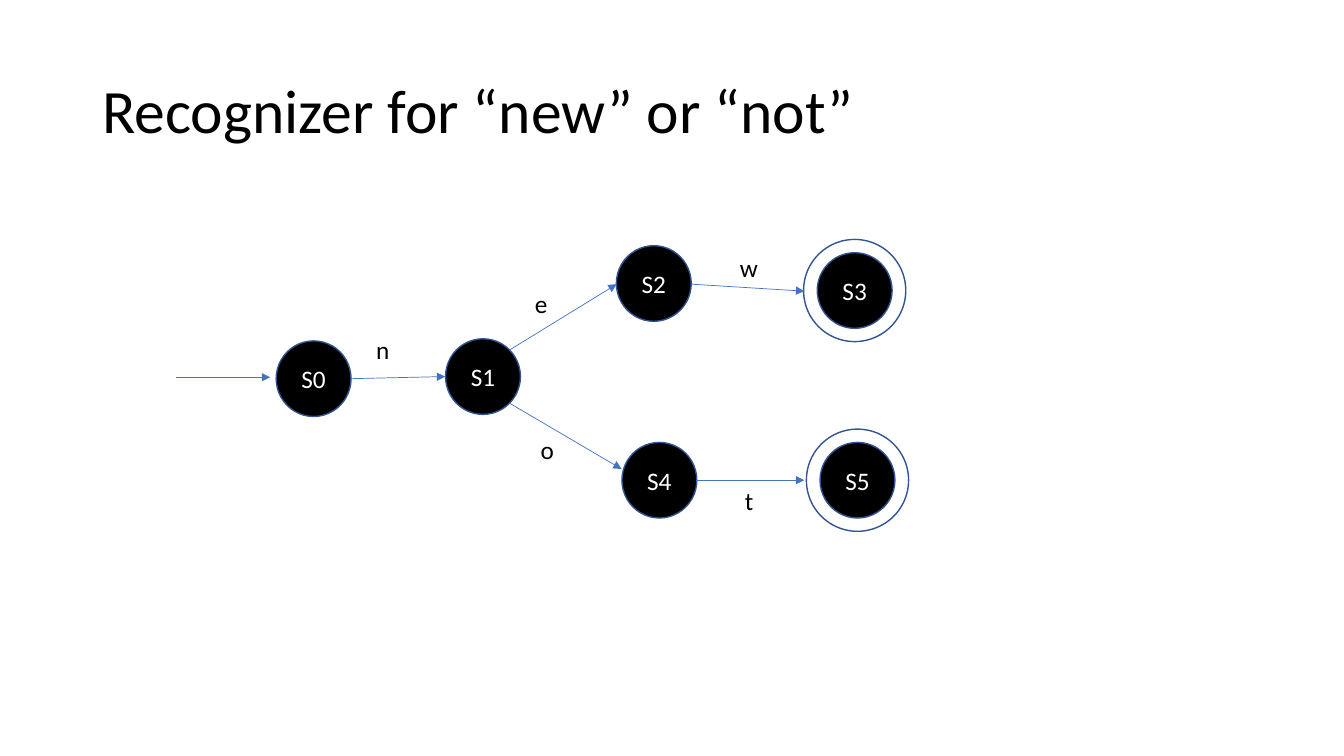
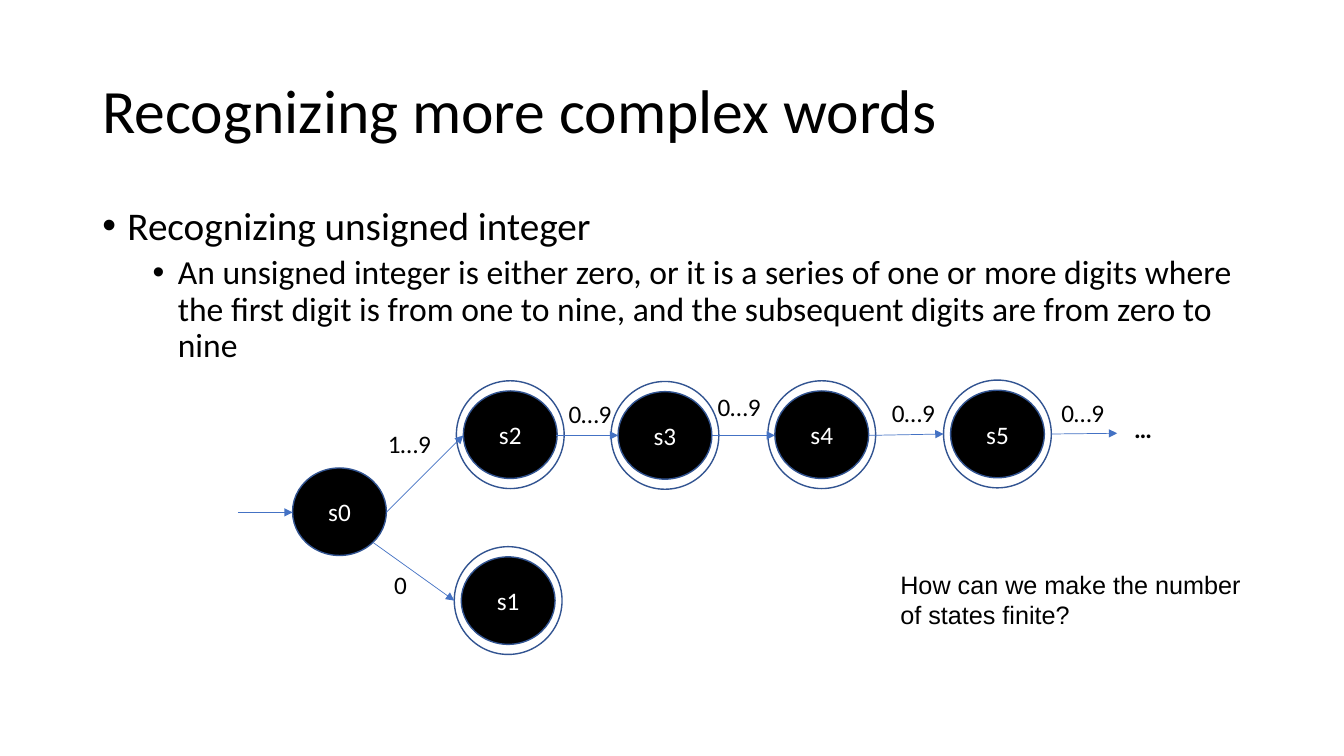
from dataclasses import dataclass

import pptx
import pptx.dml.color
import pptx.enum.shapes
import pptx.enum.text
import pptx.oxml.ns
import pptx.util
from lxml import etree

Pt = pptx.util.Pt
qn = pptx.oxml.ns.qn
anchor = pptx.enum.text.MSO_ANCHOR
align = pptx.enum.text.PP_ALIGN


@dataclass(frozen=True)
class Theme:
    black: str = "000000"
    white: str = "FFFFFF"
    edge: str = "325491"
    arrow: str = "4472C4"
    font: str = "Calibri"
    plain: str = "Arial"
    title: int = 44
    body: int = 28
    sub: int = 24
    label: int = 18


theme = Theme()
color = pptx.dml.color.RGBColor.from_string


def style(para, size, hue=theme.black, face=theme.font, bold=False):
    font = para.font
    font.size, font.name, font.bold = Pt(size), face, bold
    font.color.rgb = color(hue)


def write(slide, box, text, size, face=theme.font, bold=False):
    frame = slide.shapes.add_textbox(*map(Pt, box)).text_frame
    frame.word_wrap = True
    frame.text = text
    style(frame.paragraphs[0], size, face=face, bold=bold)
    return frame


# Each slide: state centres, arrows as (x1, y1, x2, y2, width), labels as (text, x, y)
slides = [
    dict(
        title="Recognizer for “new” or “not”",
        points=[],
        state=(53.5, 54),
        ring=73,
        nodes={
            "S0": (224, 270.5), "S1": (345, 269), "S2": (467, 202.5),
            "S3": (610.5, 207.5), "S4": (471, 343), "S5": (612.5, 343),
        },
        final=["S3", "S5"],
        arrows=[
            (126, 269.5, 193, 269.5, 1), (250.5, 270.5, 318, 269, 0.5),
            (364, 250, 440.5, 203, 0.5), (364, 288, 444, 335, 0.5),
            (494, 203, 574.5, 208, 0.5), (497, 343, 574.5, 343, 0.5),
        ],
        labels=[
            ("n", 261.5, 235), ("e", 375, 202.5), ("w", 521.5, 176.5),
            ("o", 379, 307), ("t", 525, 343),
        ],
        notes=[],
    ),
    dict(
        title="Recognizing more complex words",
        points=[
            ("Recognizing unsigned integer", theme.body, 18, 0),
            ("An unsigned integer is either zero, or it is a series of one or "
             "more digits where the first digit is from one to nine, and the "
             "subsequent digits are from zero to nine", theme.sub, 54, 5),
        ],
        state=(67, 62.5),
        ring=77,
        nodes={
            "s0": (242.5, 365.5), "s1": (363, 429), "s2": (364.5, 310.5),
            "s3": (475, 311), "s4": (587, 310.5), "s5": (712.5, 310),
        },
        final=["s1", "s2", "s3", "s4", "s5"],
        arrows=[
            (170, 366, 209, 366, 0.5), (276, 366, 331, 311, 0.5),
            (397.5, 311, 441.5, 311, 0.5), (508.5, 311, 553.5, 311, 0.5),
            (620.5, 311, 674, 310, 0.5), (751, 310, 798, 309.5, 0.5),
            (266.5, 387.5, 324.5, 429, 0.5),
        ],
        labels=[
            ("0", 274.5, 403), ("1…9", 270, 302.5), ("0…9", 399, 281),
            ("0…9", 505.5, 276), ("0…9", 630, 280), ("0…9", 751, 280),
        ],
        notes=[
            ("…", (803, 291.5, 42, 29), theme.font, True),
            ("How can we make the number of states finite?",
             (636, 403, 262, 51), theme.plain, False),
        ],
    ),
]

deck = pptx.Presentation()
deck.slide_width, deck.slide_height = Pt(960), Pt(540)

for data in slides:
    slide = deck.slides.add_slide(deck.slide_layouts[6])
    shapes = slide.shapes

    # Title
    frame = write(slide, (66, 29, 828, 104), data["title"], theme.title)
    frame.vertical_anchor = anchor.MIDDLE
    frame.paragraphs[0].line_spacing = 0.9

    # Bullets
    if data["points"]:
        frame = shapes.add_textbox(Pt(66), Pt(144), Pt(828), Pt(120)).text_frame
        frame.word_wrap = True
        frame.text = "\n".join(point[0] for point in data["points"])
        for para, (_, size, indent, space) in zip(frame.paragraphs, data["points"]):
            props = para._p.get_or_add_pPr()
            props.set("marL", str(Pt(indent)))
            props.set("indent", str(Pt(-18)))
            para.line_spacing, para.space_before = 0.9, Pt(space)
            etree.SubElement(props, qn("a:buFont"), typeface=theme.plain)
            etree.SubElement(props, qn("a:buChar"), char="•")
            style(para, size)

    # States, with a ring around each final one
    wide, high = data["state"]
    ring = data["ring"]
    ovals = [(name, *spot, wide, high) for name, spot in data["nodes"].items()]
    ovals += [("", *data["nodes"][name], ring, ring) for name in data["final"]]
    for name, x, y, w, h in ovals:
        oval = shapes.add_shape(
            pptx.enum.shapes.MSO_SHAPE.OVAL,
            Pt(x - w / 2), Pt(y - h / 2), Pt(w), Pt(h))
        oval.shadow.inherit = False
        oval.line.color.rgb, oval.line.width = color(theme.edge), Pt(1)
        if not name:
            oval.fill.background()
            continue
        oval.fill.solid()
        oval.fill.fore_color.rgb = color(theme.black)
        oval.text_frame.text = name
        oval.text_frame.vertical_anchor = anchor.MIDDLE
        para = oval.text_frame.paragraphs[0]
        para.alignment = align.CENTER
        style(para, theme.label, theme.white)

    # Arrows
    for *ends, width in data["arrows"]:
        arrow = shapes.add_connector(
            pptx.enum.shapes.MSO_CONNECTOR.STRAIGHT, *map(Pt, ends))
        arrow.line.color.rgb, arrow.line.width = color(theme.arrow), Pt(width)
        etree.SubElement(arrow.line._get_or_add_ln(), qn("a:tailEnd"), type="triangle")
        etree.SubElement(arrow._element.spPr, qn("a:effectLst"))

    # Labels and notes
    for text, x, y in data["labels"]:
        write(slide, (x, y, 65, 29), text, theme.label)
    for text, box, face, bold in data["notes"]:
        write(slide, box, text, theme.label, face, bold)

deck.save("out.pptx")
